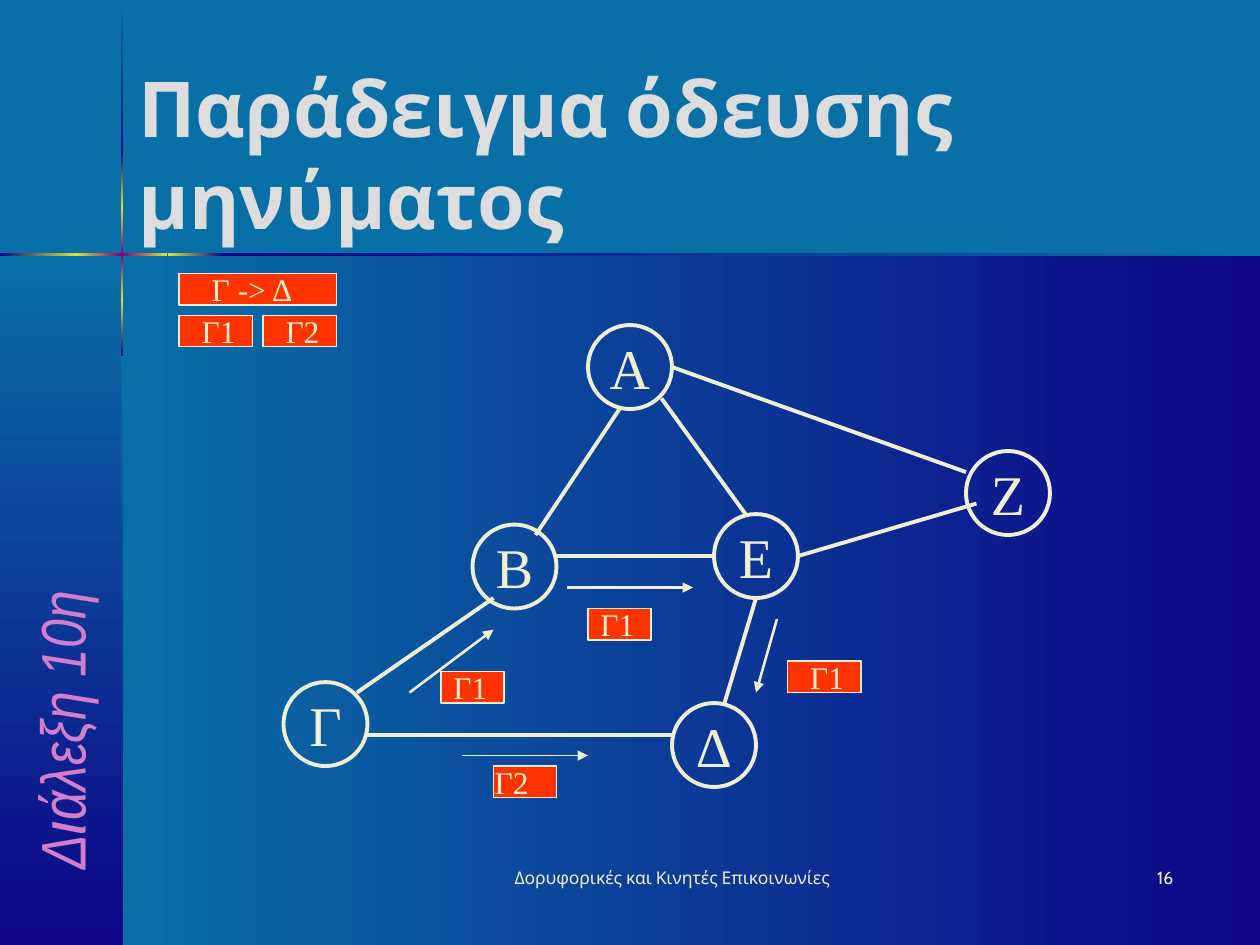
from collections import namedtuple
from dataclasses import dataclass

from lxml.etree import SubElement
from pptx import Presentation
from pptx.dml.color import RGBColor
from pptx.enum.shapes import MSO_CONNECTOR, MSO_SHAPE
from pptx.enum.text import MSO_ANCHOR as Anchor, MSO_AUTO_SIZE as AutoSize, PP_ALIGN as Align
from pptx.oxml.ns import qn
from pptx.util import Inches, Pt

Box = namedtuple("Box", "left top width height")
UNIT = 1 / 12
NODE_SIZE = 8
PACKET_HEIGHT = 3


@dataclass(frozen=True)
class Theme:
    """Colours, fonts and type sizes of the deck."""
    teal: str = "096FA7"
    navy: str = "0E0587"
    yellow: str = "DEE634"
    purple: str = "800080"
    title: str = "DDDDDD"
    cream: str = "EEEFD3"
    packet: str = "FF3300"
    orchid: str = "D37DCD"
    sans: str = "Cabin"
    narrow: str = "Arial Narrow"
    serif: str = "Times New Roman"
    title_size: int = 44
    side_size: int = 36
    node_size: int = 32
    packet_size: int = 18
    footer_size: int = 10


THEME = Theme()

NODES = [("A", 29, 0), ("B", 18, 19), ("Γ", 0, 34), ("Δ", 37, 36), ("E", 41, 18), ("Ζ", 65, 12)]
LINKS = [(32, 8, 24, 20), (20, 26, 7, 35), (8, 39, 37, 39), (45, 26, 42, 36),
         (26, 22, 41, 22), (37, 4, 65, 14), (49, 22, 66, 17), (36, 7, 44, 18)]
HOPS = [((12, 35, 20, 29), 1.5), ((27, 25, 39, 25), 1.5),
        ((47, 28, 45, 35), 1.5), ((17, 41, 29, 41), 0.75)]
HOP_PACKETS = [("Γ1", 29, 27, 6, 0.1), ("Γ2", 20, 42, 6, 0.01),
               ("Γ1", 48, 32, 7, 0.18), ("Γ1", 15, 33, 6, 0.1)]
LEGEND_PACKETS = [("Γ -> Δ", 0, 0, 15, 0.26), ("Γ1", 0, 4, 7, 0.18), ("Γ2", 8, 4, 7, 0.18)]


def inches(box):
    """Turn a box into four lengths."""
    return [Inches(value) for value in box]


def on_grid(box, col, row, cols, rows):
    """Return the box that covers the given grid cells of a region."""
    return Box(box.left + col * UNIT, box.top + row * UNIT, cols * UNIT, rows * UNIT)


def write(frame, text, size, color, font, align=Align.LEFT, bold=False, italic=False):
    """Write one formatted run into a text frame."""
    para = frame.paragraphs[0]
    para.alignment = align
    span = para.add_run()
    span.text = text
    span.font.size, span.font.name = Pt(size), font
    span.font.bold, span.font.italic = bold, italic
    span.font.color.rgb = RGBColor.from_string(color)


def add_label(page, box, text, size, color, font, align, anchor=Anchor.TOP, **style):
    """Add a wrapped text box and return it."""
    label = page.shapes.add_textbox(*inches(box))
    label.text_frame.word_wrap = True
    label.text_frame.vertical_anchor = anchor
    write(label.text_frame, text, size, color, font, align, **style)
    return label


def add_outlined(page, kind, box, weight, text, size, align, inset=0):
    """Add a cream-outlined shape with its text and return it."""
    shape = page.shapes.add_shape(kind, *inches(box))
    shape.shadow.inherit = False
    shape.fill.background()
    shape.line.color.rgb = RGBColor.from_string(THEME.cream)
    shape.line.width = Pt(weight)
    frame = shape.text_frame
    frame.word_wrap = False
    frame.vertical_anchor = Anchor.MIDDLE
    frame.margin_left = Inches(inset)
    frame.margin_right = frame.margin_top = frame.margin_bottom = 0
    write(frame, text, size, THEME.cream, THEME.serif, align)
    return shape


def add_line(page, box, ends, weight, arrow=False):
    """Draw a straight line between two grid points of a region."""
    origin = (box.left, box.top) * 2
    points = [Inches(start + step * UNIT) for start, step in zip(origin, ends)]
    line = page.shapes.add_connector(MSO_CONNECTOR.STRAIGHT, *points)
    line.line.color.rgb = RGBColor.from_string(THEME.cream)
    line.line.width = Pt(weight)
    if arrow:
        SubElement(line.line._get_or_add_ln(), qn("a:tailEnd"), type="triangle")
    SubElement(line._element.spPr, qn("a:effectLst"))


def add_gradient(page, box, colors, angle):
    """Add a borderless rectangle with evenly spaced gradient colours."""
    shape = page.shapes.add_shape(MSO_SHAPE.RECTANGLE, *inches(box))
    shape.shadow.inherit = False
    shape.line.fill.background()
    shape.fill.gradient()
    shape.fill.gradient_angle = angle
    stops = shape._element.spPr.find(qn("a:gradFill")).find(qn("a:gsLst"))
    for stop in list(stops):
        stops.remove(stop)
    for index, color in enumerate(colors):
        position = str(100000 * index // (len(colors) - 1))
        stop = SubElement(stops, qn("a:gs"), pos=position)
        SubElement(stop, qn("a:srgbClr"), val=color)


def draw_backdrop(page, box):
    """Paint the background, its two panels and the crossing rules."""
    fill = page.background.fill
    fill.solid()
    fill.fore_color.rgb = RGBColor.from_string(THEME.teal)
    across, down = 180, 270
    rule_x, rule_y, thick = box.left + 0.96, box.top + 2.01, 0.02
    panel_x, panel_y = box.left + 0.97, box.top + 2.02
    panel_height = box.height - 2.02
    fade, rise = (THEME.teal, THEME.navy), (THEME.navy, THEME.teal)
    glow = (THEME.yellow, THEME.purple, THEME.yellow)
    dim, light = (THEME.yellow, THEME.navy), (THEME.navy, THEME.yellow)
    add_gradient(page, Box(panel_x, panel_y, box.width - 0.97, panel_height), rise, across)
    add_gradient(page, Box(box.left, panel_y, 0.97, panel_height), fade, down)
    for top, height, colors in [(0.01, 1.2, fade), (2.82, 4.68, fade), (2.38, 0.44, dim),
                                (1.21, 0.44, light), (1.65, 0.73, glow)]:
        add_gradient(page, Box(rule_x, box.top + top, thick, height), colors, down)
    for left, width, colors in [(1.77, 8.23, fade), (0, 0.61, dim),
                                (1.33, 0.44, light), (0.6, 0.73, glow)]:
        add_gradient(page, Box(box.left + left, rule_y, width, thick), colors, across)


def place_title(page, box):
    """Move and fill the title placeholder."""
    title = page.shapes.title
    title.left, title.top, title.width, title.height = inches(box)
    frame = title.text_frame
    frame.auto_size = AutoSize.NONE
    frame.word_wrap = True
    frame.vertical_anchor = Anchor.MIDDLE
    write(frame, "Παράδειγμα όδευσης μηνύματος", THEME.title_size, THEME.title,
          THEME.sans, bold=True)


def draw_packets(page, box, packets):
    """Place message packets on the grid of a region."""
    for text, col, row, cols, inset in packets:
        packet = add_outlined(page, MSO_SHAPE.RECTANGLE,
                              on_grid(box, col, row, cols, PACKET_HEIGHT),
                              0.75, text, THEME.packet_size, Align.LEFT, inset)
        packet.fill.solid()
        packet.fill.fore_color.rgb = RGBColor.from_string(THEME.packet)


def draw_network(page, box):
    """Draw the nodes, links, hops and travelling packets."""
    for name, col, row in NODES:
        add_outlined(page, MSO_SHAPE.OVAL, on_grid(box, col, row, NODE_SIZE, NODE_SIZE),
                     2.25, name, THEME.node_size, Align.CENTER)
    for ends in LINKS:
        add_line(page, box, ends, 2.25)
    for ends, weight in HOPS:
        add_line(page, box, ends, weight, arrow=True)
    draw_packets(page, box, HOP_PACKETS)


def draw_side_label(page, box):
    """Write the lecture name upwards along the left panel."""
    label = add_label(page, box, "Διάλεξη 10η", THEME.side_size, THEME.orchid,
                      THEME.narrow, Align.LEFT, Anchor.BOTTOM, italic=True)
    label.rotation = 270


def draw_footer(page, box):
    """Write the course name and the page number."""
    for text, left, width, align in [
            ("Δορυφορικές και Κινητές Επικοινωνίες", 0, 3.17, Align.CENTER),
            ("16", 3.58, 2.08, Align.RIGHT)]:
        add_label(page, Box(box.left + left, box.top, width, box.height), text,
                  THEME.footer_size, THEME.cream, THEME.sans, align)


def main():
    """Build and save the deck."""
    deck = Presentation()
    deck.slide_width, deck.slide_height = Inches(10), Inches(7.5)
    page = deck.slides.add_slide(deck.slide_layouts[5])
    draw_backdrop(page, Box(0, 0, 10, 7.5))
    place_title(page, Box(1, 0.75, 8.5, 0.92))
    page.shapes._spTree.append(page.shapes.title._element)
    draw_network(page, Box(2.25, 2.58, 6.08, 3.75))
    draw_side_label(page, Box(-1.42, 4.75, 3.83, 0.67))
    draw_packets(page, Box(1.42, 2.17, 1.25, 0.58), LEGEND_PACKETS)
    draw_footer(page, Box(3.75, 6.83, 5.66, 0.5))
    deck.save("out.pptx")


if __name__ == "__main__":
    main()
